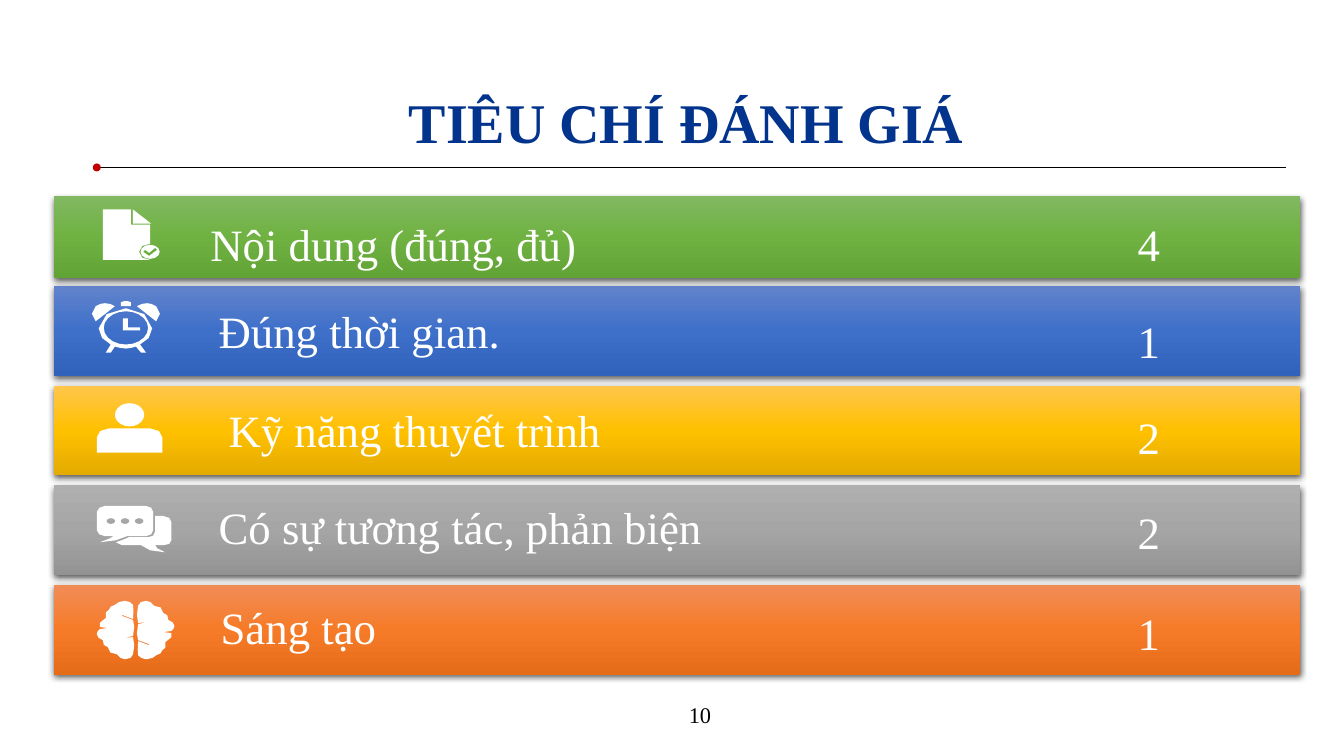
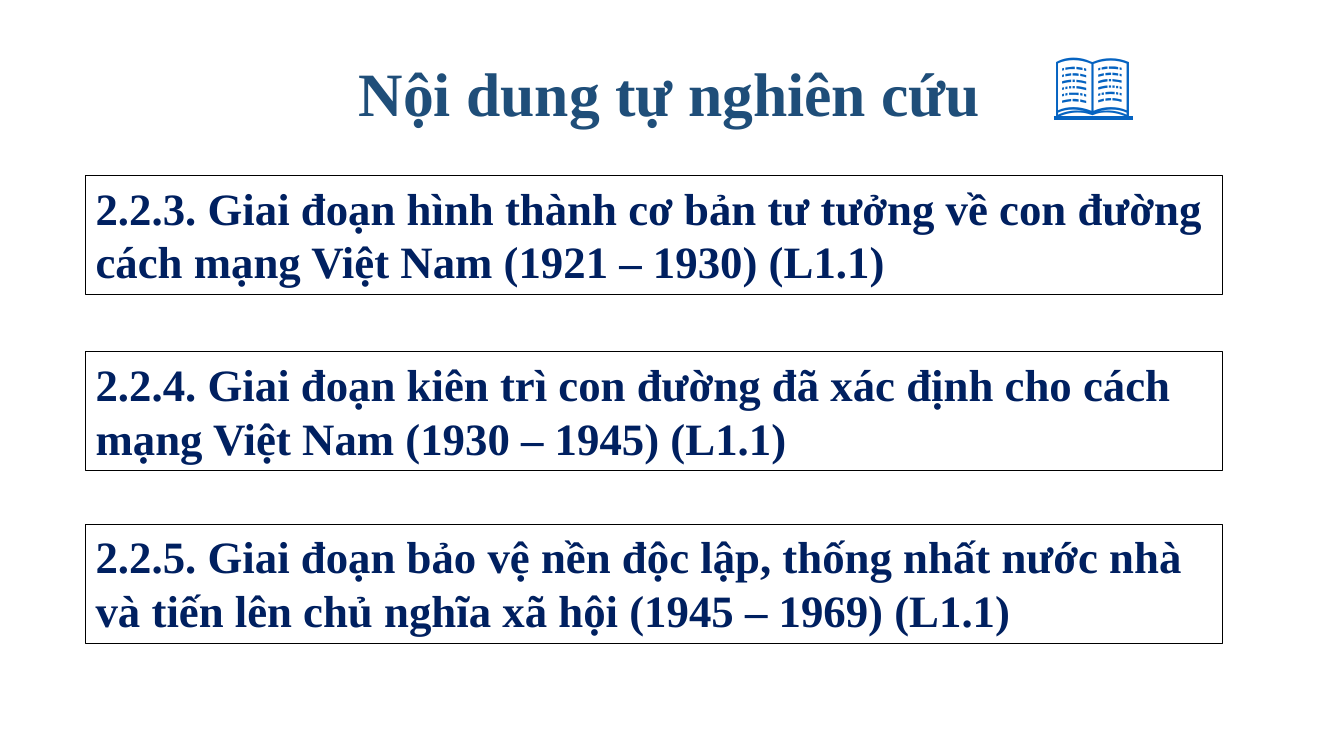
from math import cos, pi, sin

from lxml import etree
from pptx import Presentation
from pptx import util as u
from pptx.dml.color import RGBColor
from pptx.enum import shapes, text
from pptx.oxml.ns import qn

FONT = "Times New Roman"
WHITE = RGBColor(0xFF, 0xFF, 0xFF)
BLACK = RGBColor(0x00, 0x00, 0x00)
RED = RGBColor(0xC0, 0x00, 0x00)
TITLE_BLUE = RGBColor(0x02, 0x34, 0x8D)
STEEL_BLUE = RGBColor(0x1F, 0x4E, 0x79)
NAVY = RGBColor(0x00, 0x20, 0x60)
LINK_BLUE = RGBColor(0x05, 0x63, 0xC1)
GREENS = RGBColor(0x81, 0xB8, 0x61), RGBColor(0x6F, 0xB2, 0x42), RGBColor(0x62, 0xA3, 0x36)
BLUES = RGBColor(0x61, 0x83, 0xCB), RGBColor(0x3E, 0x70, 0xCA), RGBColor(0x30, 0x62, 0xBB)
GOLDS = RGBColor(0xFF, 0xC6, 0x4B), RGBColor(0xFF, 0xC0, 0x00), RGBColor(0xE3, 0xAB, 0x00)
GREYS = RGBColor(0xAF, 0xAF, 0xAF), RGBColor(0xA5, 0xA5, 0xA5), RGBColor(0x93, 0x93, 0x93)
ORANGES = RGBColor(0xF1, 0x8C, 0x57), RGBColor(0xF6, 0x7B, 0x28), RGBColor(0xE5, 0x6C, 0x19)

ICON_UNIT = u.Cm(0.0254)
CURVE_STEPS = 2


def ellipse(cx, cy, rx, ry, steps=20):
    angles = [2 * pi * i / steps for i in range(steps)]
    return [(cx + rx * cos(a), cy + ry * sin(a)) for a in angles]


def outline(*segments):
    points = []
    for segment in segments:
        if len(segment) == 2:
            points.append(segment)
            continue
        corners = [points[-1], segment[:2], segment[2:4], segment[4:]]
        for step in range(1, CURVE_STEPS + 1):
            t = step / CURVE_STEPS
            weights = (1 - t) ** 3, 3 * t * (1 - t) ** 2, 3 * t * t * (1 - t), t ** 3
            points.append(tuple(sum(w * c[axis] for w, c in zip(weights, corners))
                                for axis in (0, 1)))
    return points


DOCUMENT = [
    outline((0, 0), (28, 0), (28, 15), (47, 15), (47, 34),
            (41, 34, 36, 37, 36, 42), (36, 47, 41, 50, 47, 50), (0, 50)),
    outline((30, 0), (48, 14), (30, 14)),
    ellipse(47, 42, 9.5, 7, steps=12),
    outline((52, 38), (46, 43), (42, 40), (40, 42), (46, 46), (54, 40)),
]

BELL = outline((13, 2), (17, 2, 20, 3, 23, 5), (4, 20),
               (-1, 16, -1, 9, 4, 5), (7, 3, 10, 2, 13, 2))
CLOCK = [
    outline((34, 7), (48, 7, 60, 16, 60, 27), (60, 34, 55, 40, 48, 43),
            (54, 51), (49, 51), (44, 45), (41, 46, 37, 47, 34, 47),
            (30, 47, 27, 46, 23, 45), (19, 51), (14, 51), (19, 43),
            (12, 40, 7, 34, 7, 27), (7, 16, 19, 7, 34, 7)),
    ellipse(34, 26.5, 22, 16.5),
    outline((31, 17), (36, 17), (36, 26), (48, 26), (48, 29), (31, 29)),
    BELL,
    [(68 - x, y) for x, y in BELL],
    outline((29, 5), (29, 1), (32, 0), (36, 0), (39, 1), (39, 5)),
]

SPEAKER = [
    outline((12, 25), (53, 25), (60, 25, 65, 29, 65, 34), (65, 49), (0, 49),
            (0, 34), (0, 29, 5, 25, 12, 25)),
    ellipse(32.5, 11.5, 14.5, 11.5),
]

CHAT = [
    outline((58, 10), (66, 10), (71, 10, 74, 13, 74, 16), (74, 34),
            (74, 37, 71, 39, 66, 39), (58, 39), (59, 41, 59, 43, 68, 46),
            (53, 45, 51, 44, 44, 39), (25, 39), (19, 36),
            (23, 35, 27, 33, 32, 31), (51, 31), (55, 31, 58, 29, 58, 25)),
    outline((8, 0), (49, 0), (53, 0, 56, 3, 56, 6), (56, 24),
            (56, 27, 53, 30, 49, 30), (30, 30), (21, 34, 18, 35, 3, 36),
            (12, 32, 13, 33, 17, 30), (8, 30), (4, 30, 0, 27, 0, 24),
            (0, 6), (0, 3, 4, 0, 8, 0)),
    *[ellipse(x, 15, 4.5, 3, steps=8) for x in (14, 28, 42)],
]

BRAIN_HALF = outline(
    (49, 0), (52, 0, 55, 2, 57, 5), (62, 5, 66, 7, 66, 12), (69, 13, 72, 15, 71, 19),
    (74, 20, 77, 22, 77, 25), (77, 27, 76, 28, 74, 30), (66, 31), (74, 32),
    (75, 33, 75, 39, 68, 41), (69, 46, 68, 48, 65, 49), (65, 52, 62, 53, 59, 54),
    (58, 56, 53, 58, 49, 58), (45, 58, 43, 56, 41, 54), (41, 52, 40, 46, 41, 40),
    (52, 44), (52, 43), (41, 39), (40, 37, 39, 29, 41, 23), (51, 21), (41, 22),
    (39, 19, 40, 9, 41, 5), (42, 2, 44, 0, 49, 0))
BRAIN = [BRAIN_HALF, [(77 - x, 58 - y) for x, y in BRAIN_HALF]]


def write_text(shape, words, size=32, color=WHITE, bold=False, underline=False,
               align=text.PP_ALIGN.LEFT, anchor=text.MSO_ANCHOR.TOP, spacing=1.0):
    frame = shape.text_frame
    frame.word_wrap = True
    frame.vertical_anchor = anchor
    paragraph = frame.paragraphs[0]
    paragraph.alignment = align
    paragraph.line_spacing = spacing
    run = paragraph.add_run()
    run.text = words
    run.font.name = FONT
    run.font.size = u.Pt(size)
    run.font.bold = bold
    run.font.underline = underline
    run.font.color.rgb = color


class Deck:
    def __init__(self):
        self.file = Presentation()
        self.file.slide_width = u.Cm(33.87)
        self.file.slide_height = u.Cm(19.05)
        self.slide = None

    def new_slide(self):
        self.slide = self.file.slides.add_slide(self.file.slide_layouts[6])

    def label(self, words, left, top, width, height, **style):
        holder = self.slide.shapes.add_textbox(u.Cm(left), u.Cm(top), u.Cm(width), u.Cm(height))
        write_text(holder, words, **style)

    def title(self, words, left, top, width, height, **style):
        self.label(words, left, top, width, height, bold=True,
                   align=text.PP_ALIGN.CENTER, **style)

    def preset(self, kind, left, top, width, height, fill=None, border=None):
        shape = self.slide.shapes.add_shape(kind, u.Cm(left), u.Cm(top), u.Cm(width), u.Cm(height))
        if fill is not None:
            shape.fill.solid()
            shape.fill.fore_color.rgb = fill
        if border is None:
            shape.line.fill.background()
        else:
            shape.line.color.rgb = border
            shape.line.width = u.Pt(0.75)
        shape.shadow.inherit = False
        return shape

    def band(self, left, top, width, height, colors):
        band = self.preset(shapes.MSO_SHAPE.RECTANGLE, left, top, width, height)
        band.fill.gradient()
        band.fill.gradient_angle = 270
        properties = band._element.spPr
        stops = properties.find(".//" + qn("a:gsLst"))
        for stop in list(stops):
            stops.remove(stop)
        for position, color in zip((0, 50000, 100000), colors):
            stop = etree.SubElement(stops, qn("a:gs"), pos=str(position))
            etree.SubElement(stop, qn("a:srgbClr"), val=str(color))
        shadow = etree.SubElement(properties.find(qn("a:effectLst")), qn("a:outerShdw"),
                                  blurRad=str(u.Pt(4.5)), dist=str(u.Pt(1.5)),
                                  dir="5400000", algn="ctr", rotWithShape="0")
        tint = etree.SubElement(shadow, qn("a:srgbClr"), val=str(BLACK))
        etree.SubElement(tint, qn("a:alpha"), val="63000")

    def rule(self, left, right, y, dot=0.2):
        rule = self.slide.shapes.add_connector(shapes.MSO_CONNECTOR.STRAIGHT,
                                               u.Cm(left), u.Cm(y), u.Cm(right), u.Cm(y))
        rule.line.color.rgb = BLACK
        rule.line.width = u.Pt(0.5)
        etree.SubElement(rule._element.spPr, qn("a:effectLst"))
        self.preset(shapes.MSO_SHAPE.OVAL, left - dot / 2, y - dot / 2, dot, dot, RED)

    def icon(self, contours, left, top):
        scaled = [[(x * ICON_UNIT, y * ICON_UNIT) for x, y in contour] for contour in contours]
        builder = self.slide.shapes.build_freeform(*scaled[0][0], scale=1.0)
        for number, contour in enumerate(scaled):
            if number:
                builder.move_to(*contour[0])
            builder.add_line_segments(contour[1:], close=True)
        icon = builder.convert_to_shape(u.Cm(left), u.Cm(top))
        icon.fill.solid()
        icon.fill.fore_color.rgb = WHITE
        icon.line.fill.background()
        icon.shadow.inherit = False

    def topic(self, words, top):
        box = self.preset(shapes.MSO_SHAPE.RECTANGLE, 2.16, top, 28.65, 3, WHITE, BLACK)
        write_text(box, words, color=NAVY, bold=True)


def criteria_slide(deck):
    deck.new_slide()
    deck.title("TIÊU CHÍ ĐÁNH GIÁ", 3.25, 1.22, 28.09, 3.68, size=40,
               color=TITLE_BLUE, anchor=text.MSO_ANCHOR.MIDDLE)
    deck.rule(2.44, 32.41, 4.22)
    criteria = [
        ("Nội dung (đúng, đủ)", 5.05, 5.33, "4", 5.33, GREENS, DOCUMENT, 2.59, 5.28),
        ("Đúng thời gian.", 5.26, 7.52, "1", 7.77, BLUES, CLOCK, 2.31, 7.59),
        ("Kỹ năng thuyết trình", 5.51, 10.03, "2", 10.21, GOLDS, SPEAKER, 2.44, 10.16),
        ("Có sự tương tác, phản biện", 5.26, 12.47, "2", 12.6, GREYS, CHAT, 2.44, 12.75),
        ("Sáng tạo", 5.31, 14.99, "1", 15.14, ORANGES, BRAIN, 2.44, 15.14),
    ]
    bands = [(4.95, 2.06)] + [(7.21 + 2.51 * i, 2.26) for i in range(4)]
    for (band_top, band_height), criterion in zip(bands, criteria):
        name, name_left, name_top, score, score_top, colors, icon, icon_left, icon_top = criterion
        deck.band(1.35, band_top, 31.42, band_height, colors)
        deck.label(name, name_left, name_top, 18.14, 1.63)
        deck.label(score, 28.42, score_top, 2.59, 1.63)
        deck.icon(icon, icon_left, icon_top)
    deck.label("10", 16.61, 17.5, 2.06, 1.02, size=16, color=BLACK,
               align=text.PP_ALIGN.CENTER, anchor=text.MSO_ANCHOR.MIDDLE)


def self_study_slide(deck):
    deck.new_slide()
    topics = [
        ("2.2.3. Giai đoạn hình thành cơ bản tư tưởng về con đường cách mạng Việt Nam "
         "(1921 – 1930) (L1.1)", 4.42),
        ("2.2.4. Giai đoạn kiên trì con đường đã xác định cho cách mạng Việt Nam "
         "(1930 – 1945) (L1.1)", 8.86),
        ("2.2.5. Giai đoạn bảo vệ nền độc lập, thống nhất nước nhà và tiến lên chủ nghĩa xã hội "
         "(1945 – 1969) (L1.1)", 13.21),
    ]
    for words, top in topics:
        deck.topic(words, top)
    deck.title("Nội dung tự nghiên cứu", 6.88, 1.27, 20, 2, size=44, color=STEEL_BLUE)
    deck.label("📖", 26.31, 0.99, 3, 3.43, size=54, color=LINK_BLUE, bold=True,
               underline=True, spacing=0.9)


def main():
    deck = Deck()
    criteria_slide(deck)
    self_study_slide(deck)
    deck.file.save("out.pptx")


if __name__ == "__main__":
    main()
